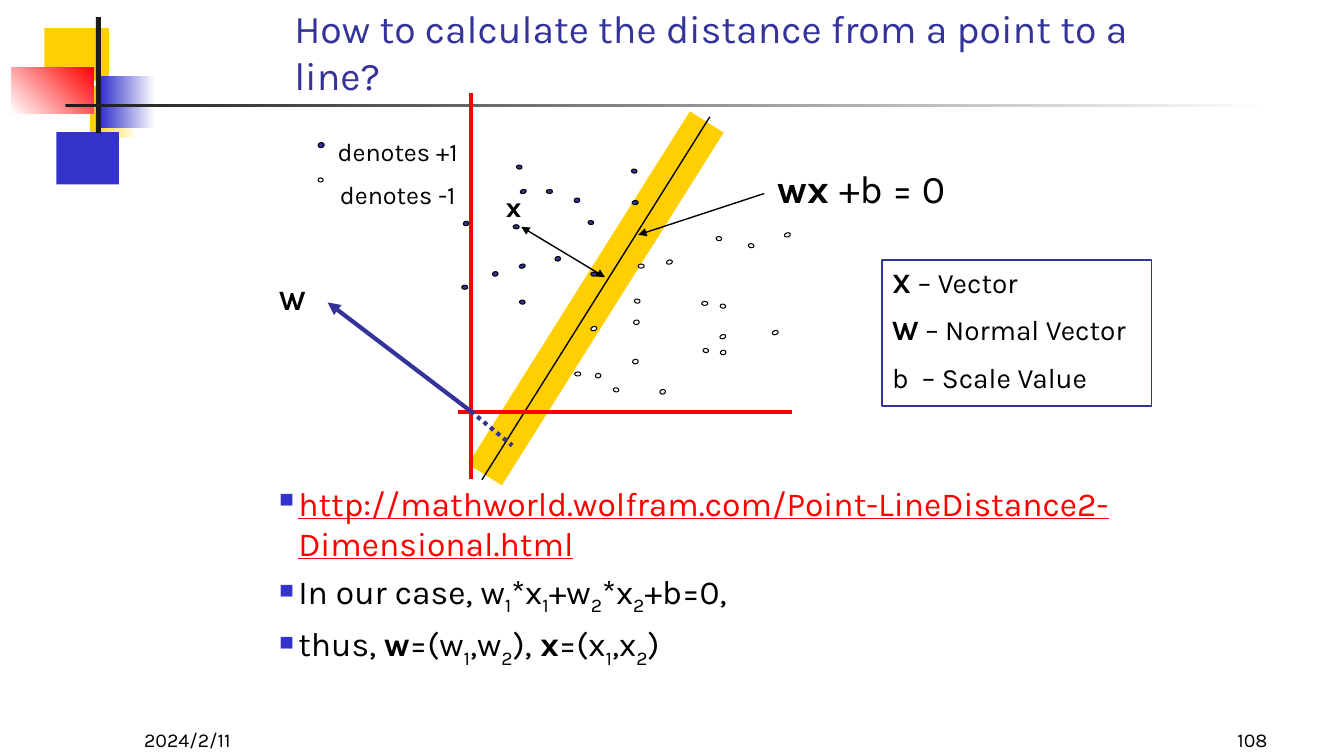
from lxml.etree import SubElement
from pptx import Presentation
from pptx.dml.color import RGBColor
from pptx.enum.dml import MSO_LINE
from pptx.enum.shapes import MSO_CONNECTOR, MSO_SHAPE
from pptx.enum.text import MSO_ANCHOR, PP_ALIGN
from pptx.oxml.ns import qn
from pptx.util import Inches, Pt

FONT = "Karla"
CELL = Inches(0.01)  # every length below counts cells of this grid
COLORS = {
    "yellow": "FFCF01", "blue": "3333CC", "navy": "333399", "red": "FF0000",
    "dark": "1C1C1C", "black": "000000", "white": "FFFFFF",
}

# (width, height, rotation) of a dot -> left and top of the +1 and -1 dots in the plot
DOTS = {
    (6, 4, 0): (
        [(158, 183), (327, 99), (242, 88), (286, 170), (209, 123)],
        [(270, 269), (333, 162), (396, 199)]),
    (6, 4, 341.4): (
        [(216, 88), (215, 162)],
        [(286, 224), (478, 131), (414, 232), (361, 158), (466, 228)]),
    (4, 5.5, 98.3): (
        [(284, 118), (216, 197), (327, 67), (213, 63)],
        [(309, 284), (415, 201), (330, 196), (443, 141), (411, 134), (398, 245)]),
    (4.5, 5.5, 79.6): (
        [(251, 154), (189, 169), (270, 96), (160, 119)],
        [(355, 286), (328, 256), (329, 217), (291, 270), (415, 247)]),
}


def rgb(name):
    return RGBColor.from_string(COLORS[name])


def cells(*counts):
    return [round(count * CELL) for count in counts]


def add_block(slide, box, shape, fill=None, outline=None, width=0.75):
    block = slide.shapes.add_shape(shape, *cells(*box))
    block.shadow.inherit = False
    if fill:
        block.fill.solid()
        block.fill.fore_color.rgb = rgb(fill)
    else:
        block.fill.background()
    if outline:
        block.line.color.rgb = rgb(outline)
        block.line.width = Pt(width)
    else:
        block.line.fill.background()
    return block


def add_fade(slide, box, start, end, angle=0):
    fade = add_block(slide, box, MSO_SHAPE.RECTANGLE, start)
    fade.fill.gradient()
    fade.fill.gradient_angle = angle
    for stop, name, position in zip(fade.fill.gradient_stops, (start, end), (0, 1)):
        stop.color.rgb = rgb(name)
        stop.position = position


def add_line(slide, start, end, color, width, arrows=(), dash=None):
    line = slide.shapes.add_connector(MSO_CONNECTOR.STRAIGHT, *cells(*start, *end))
    line.line.color.rgb = rgb(color)
    line.line.width = Pt(width)
    if dash:
        line.line.dash_style = dash
    outline = line.line._get_or_add_ln()
    for arrow in arrows:
        SubElement(outline, qn(f"a:{arrow}"), type="triangle")
    SubElement(line._element.spPr, qn("a:effectLst"))


def add_bullet(paragraph):
    props = paragraph._p.get_or_add_pPr()
    hang = cells(19)[0]
    props.set("marL", str(hang))
    props.set("indent", str(-hang))
    color = SubElement(props, qn("a:buClr"))
    SubElement(color, qn("a:srgbClr"), val=COLORS["blue"])
    SubElement(props, qn("a:buSzPct"), val="60000")
    SubElement(props, qn("a:buChar"), char="■")


def write(frame, paragraphs, size, color="black", align=PP_ALIGN.LEFT,
          anchor=MSO_ANCHOR.TOP, gap=0, bullets=False):
    """Fill a frame; each paragraph is a list of (text, style) runs."""
    frame.word_wrap = True
    frame.vertical_anchor = anchor
    for index, runs in enumerate(paragraphs):
        paragraph = frame.add_paragraph() if index else frame.paragraphs[0]
        paragraph.alignment = align
        if index:
            paragraph.space_before = Pt(gap)
        if bullets:
            add_bullet(paragraph)
        for text, style in runs:
            run = paragraph.add_run()
            run.text = text
            run.font.name = FONT
            run.font.size = Pt(size)
            run.font.bold = style == "bold"
            run.font.color.rgb = rgb("red" if style == "link" else color)
            if style == "link":
                run.font.underline = True
            if style == "sub":
                run._r.get_or_add_rPr().set("baseline", "-25000")


def add_text(slide, box, paragraphs, size, **options):
    write(slide.shapes.add_textbox(*cells(*box)).text_frame, paragraphs, size, **options)


def indexed(*names):
    """Alternate plain text with subscripts."""
    return [(text, "sub" if i % 2 else "") for i, text in enumerate(names)]


def add_emblem(slide, left, top):
    def at(x, y, w, h):
        return left + x, top + y, w, h

    add_block(slide, at(33, 11, 64, 52), MSO_SHAPE.RECTANGLE, "yellow")
    add_fade(slide, at(78, 68, 48, 52), "yellow", "white")
    add_block(slide, at(45, 114, 62, 52), MSO_SHAPE.RECTANGLE, "blue")
    add_fade(slide, at(89, 58, 54, 52), "blue", "white")
    add_fade(slide, at(0, 50, 82, 46), "white", "red", angle=45)
    add_block(slide, at(84, 0, 5, 115), MSO_SHAPE.RECTANGLE, "dark")
    add_fade(slide, at(54, 86, 1200, 3), "dark", "white")


def add_footer(slide, left, top, width, height):
    part = 278
    for x, text, align in ((left, "2024/2/11", PP_ALIGN.LEFT),
                           (left + width - part, "108", PP_ALIGN.RIGHT)):
        add_text(slide, (x, top, part, height), [[(text, "")]], 14,
                 align=align, anchor=MSO_ANCHOR.BOTTOM)


def add_dot(slide, box, fill, rotation):
    add_block(slide, box, MSO_SHAPE.OVAL, fill, "black").rotation = rotation


def add_plot(slide, left, top):
    def at(x, y, *size):
        return left + x, top + y, *size

    add_line(slide, at(181, 371), at(401, 21), "yellow", 28.5)
    add_line(slide, at(178, 376), at(404, 16), "black", 1)

    add_text(slide, at(8, 30, 173, 85), [[("denotes +1", "")], [("denotes -1", "")]],
             18, align=PP_ALIGN.CENTER, gap=9)
    add_dot(slide, at(16, 41, 5, 6), "navy", 79.6)
    add_dot(slide, at(16, 76, 4, 5), "white", 98.3)

    add_line(slide, at(167, -8), at(167, 375), "red", 3)
    add_line(slide, at(154, 309), at(486, 309), "red", 3)

    for (width, height, rotation), classes in DOTS.items():
        for fill, corners in zip(("navy", "white"), classes):
            for x, y in corners:
                add_dot(slide, at(x, y, width, height), fill, rotation)

    add_line(slide, at(217, 125), at(300, 175), "black", 1, ("headEnd", "tailEnd"))
    add_text(slide, at(192, 83, 50, 43), [[("x", "bold")]], 20)
    add_text(slide, at(442, 58, 225, 57), [[("wx ", "bold"), ("+b = 0", "")]], 28,
             align=PP_ALIGN.CENTER)
    add_line(slide, at(458, 92), at(333, 133), "black", 1, ("tailEnd",))

    origin = at(167, 308)
    add_line(slide, origin, at(25, 200), "navy", 3, ("tailEnd",))
    add_line(slide, origin, at(208, 342), "navy", 3, dash=MSO_LINE.ROUND_DOT)
    add_text(slide, at(-33, 175, 42, 43), [[("W", "bold")]], 20)


def add_symbol_key(slide, *box):
    key = add_block(slide, box, MSO_SHAPE.RECTANGLE, outline="navy", width=1)
    write(key.text_frame, [
        [("X", "bold"), (" – Vector", "")],
        [("W", "bold"), (" – Normal Vector", "")],
        [("b  – Scale Value", "")],
    ], 20, gap=10)


def add_notes_on_line(slide, *box):
    add_text(slide, box, [
        [("http://mathworld.wolfram.com/Point-LineDistance2-Dimensional.html", "link")],
        indexed("In our case, w", "1", "*x", "1", "+w", "2", "*x", "2", "+b=0,"),
        [("thus, ", ""), ("w", "bold"), *indexed("=(w", "1", ",w", "2", "),"),
         (" x", "bold"), *indexed("=(x", "1", ",x", "2", ")")],
    ], 24, gap=5, bullets=True)


def main():
    deck = Presentation()
    deck.slide_width, deck.slide_height = Inches(13.33), Inches(7.5)
    slide = deck.slides.add_slide(deck.slide_layouts[6])
    add_emblem(slide, 11, 17)
    add_footer(slide, 133, 717, 1134, 33)
    add_text(slide, (282, 20, 878, 83),
             [[("How to calculate the distance from a point to a line?", "")]],
             28, color="navy", anchor=MSO_ANCHOR.BOTTOM)
    add_notes_on_line(slide, 267, 474, 879, 101)
    add_plot(slide, 300, 100)
    add_symbol_key(slide, 875, 258, 267, 145)
    deck.save("out.pptx")


if __name__ == "__main__":
    main()
